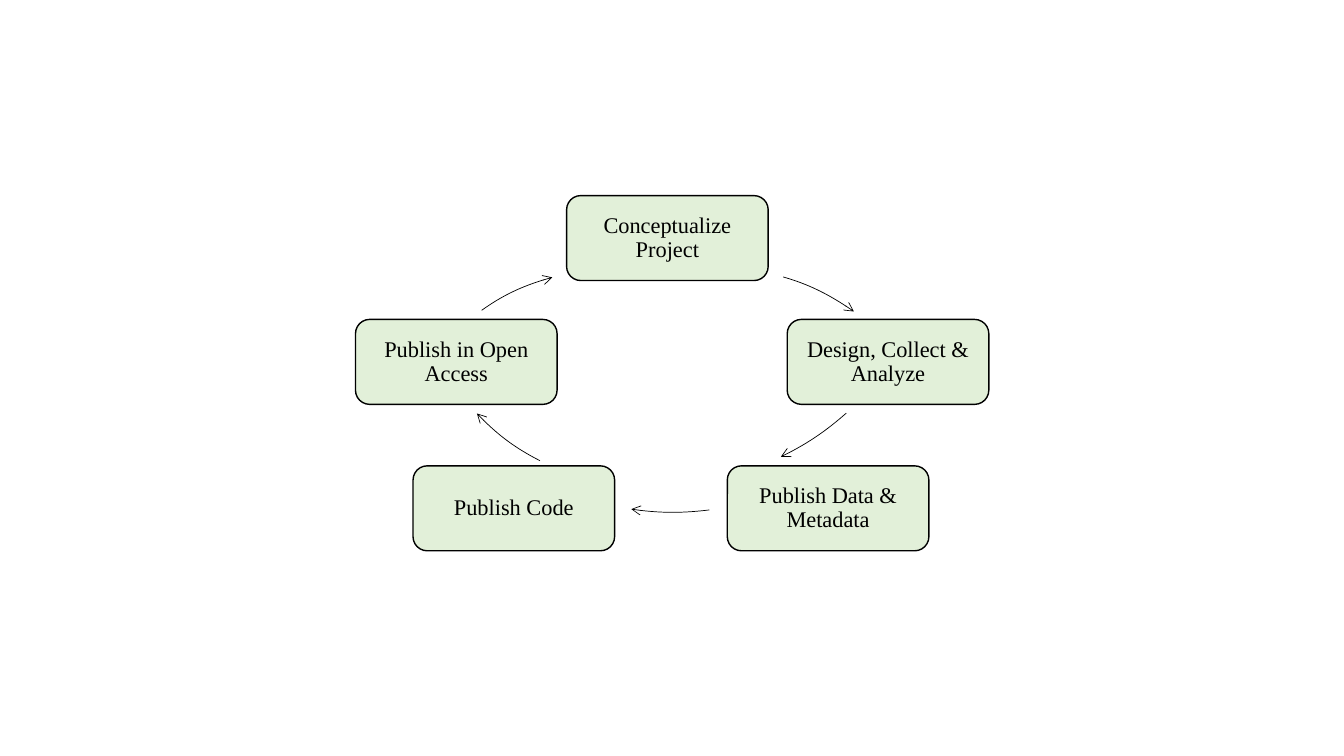
"""Builds a slide showing the cycle of an open research project."""
import dataclasses

import lxml.etree
import pptx
import pptx.dml.color
import pptx.enum.shapes
import pptx.enum.text
import pptx.oxml.ns
import pptx.util

Cm = pptx.util.Cm
Pt = pptx.util.Pt
qn = pptx.oxml.ns.qn


@dataclasses.dataclass
class Theme:
    ink: str = "000000"
    step_fill: str = "E2F0D9"
    font: str = "Times New Roman"
    text_size: float = 16
    space_after: float = 5.6
    outline: float = 1
    arrow_line: float = 0.5


STEP_SIZE = (5.08, 2.14)
STEPS = [
    ("Conceptualize Project", 14.28, 4.93),
    ("Design, Collect & Analyze", 19.84, 8.05),
    ("Publish Data & Metadata", 18.33, 11.74),
    ("Publish Code", 10.41, 11.74),
    ("Publish in Open Access", 8.96, 8.05),
]
ARROW_FRAME = 8.53
ARROWS = [
    ((11.43, 6.68), [(19.74, 6.98), (20.37, 7.16), (20.98, 7.47), (21.52, 7.85)]),
    ((10.01, 2.72), [(21.33, 10.41), (20.83, 10.85), (20.27, 11.23), (19.68, 11.51)]),
    ((13.69, 5.08), [(17.88, 12.85), (17.22, 12.93), (16.56, 12.93), (15.91, 12.83)]),
    ((10.21, -0.43), [(13.61, 11.61), (13, 11.3), (12.47, 10.9), (12.02, 10.42)]),
    ((9.3, 6.73), [(12.14, 7.82), (12.67, 7.44), (13.28, 7.16), (13.92, 6.99)]),
]


class CycleSlide:
    def __init__(self, slide, theme):
        self.slide = slide
        self.theme = theme

    def color(self, value):
        return pptx.dml.color.RGBColor.from_string(value)

    def outline(self, shape, width):
        shape.shadow.inherit = False
        shape.line.color.rgb = self.color(self.theme.ink)
        shape.line.width = Pt(width)

    def step(self, text, left, top):
        shape = self.slide.shapes.add_shape(
            pptx.enum.shapes.MSO_SHAPE.ROUNDED_RECTANGLE,
            Cm(left), Cm(top), *map(Cm, STEP_SIZE),
        )
        self.outline(shape, self.theme.outline)
        shape.fill.solid()
        shape.fill.fore_color.rgb = self.color(self.theme.step_fill)
        frame = shape.text_frame
        frame.word_wrap = True
        frame.vertical_anchor = pptx.enum.text.MSO_ANCHOR.MIDDLE
        frame.margin_left = frame.margin_right = Cm(0.28)
        frame.margin_top = frame.margin_bottom = Cm(0.28)
        paragraph = frame.paragraphs[0]
        paragraph.text = text
        paragraph.alignment = pptx.enum.text.PP_ALIGN.CENTER
        paragraph.line_spacing = 0.9
        paragraph.space_after = Pt(self.theme.space_after)
        paragraph.font.name = self.theme.font
        paragraph.font.size = Pt(self.theme.text_size)
        paragraph.font.color.rgb = self.color(self.theme.ink)

    def curved_arrow(self, corner, controls):
        left, top = map(Cm, corner)
        points = [(Cm(x), Cm(y)) for x, y in controls]
        builder = self.slide.shapes.build_freeform(*points[0])
        builder.add_line_segments(points[1:], close=False)
        shape = builder.convert_to_shape()
        shape.left, shape.top = left, top
        shape.width = shape.height = Cm(ARROW_FRAME)
        curve = next(shape.element.spPr.iter(qn("a:path")))
        curve.set("w", str(shape.width))
        curve.set("h", str(shape.height))
        for segment in list(curve):
            curve.remove(segment)
        for tag, stops in (("a:moveTo", points[:1]), ("a:cubicBezTo", points[1:])):
            segment = lxml.etree.SubElement(curve, qn(tag))
            for x, y in stops:
                lxml.etree.SubElement(
                    segment, qn("a:pt"), x=str(x - left), y=str(y - top)
                )
        shape.fill.background()
        self.outline(shape, self.theme.arrow_line)
        line = shape.element.spPr.find(qn("a:ln"))
        lxml.etree.SubElement(line, qn("a:tailEnd"), type="arrow")


def main():
    presentation = pptx.Presentation()
    presentation.slide_width = Cm(33.87)
    presentation.slide_height = Cm(19.05)
    slide = presentation.slides.add_slide(presentation.slide_layouts[6])
    cycle = CycleSlide(slide, Theme())
    for step in STEPS:
        cycle.step(*step)
    for arrow in ARROWS:
        cycle.curved_arrow(*arrow)
    presentation.save("out.pptx")


if __name__ == "__main__":
    main()
